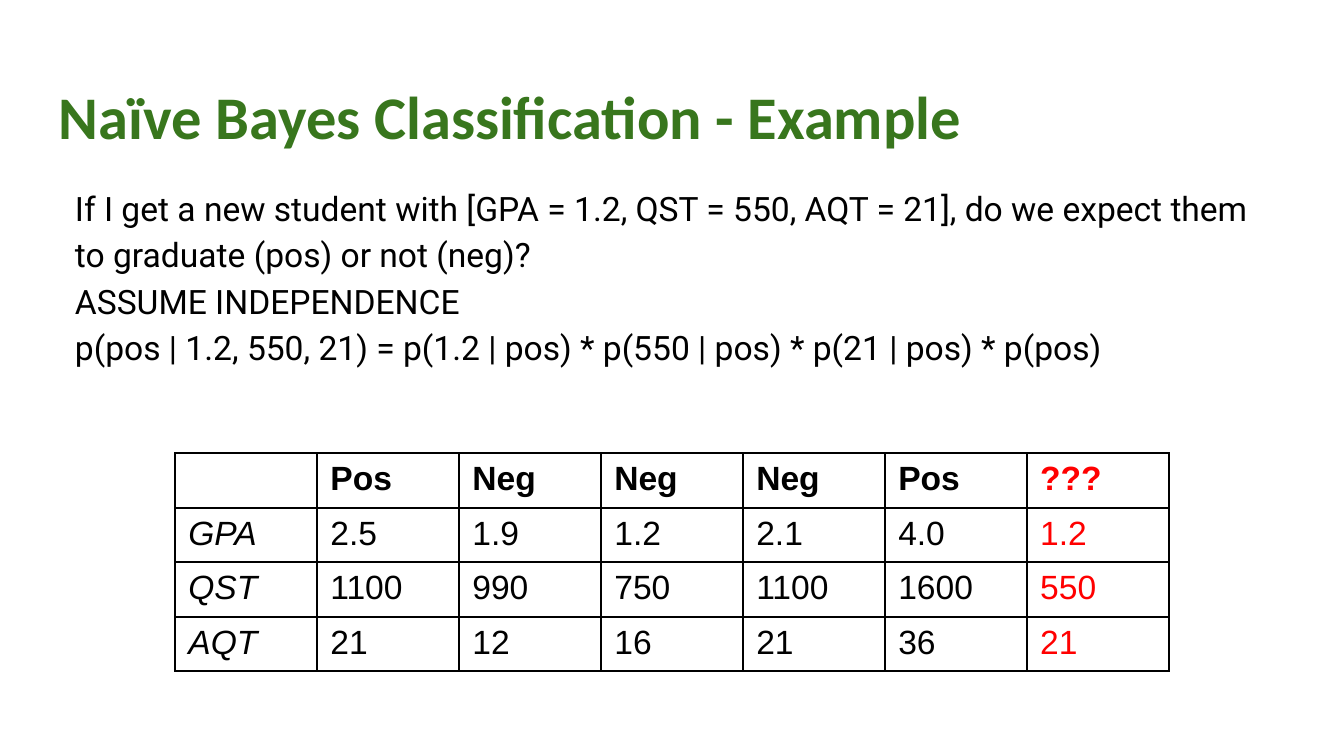
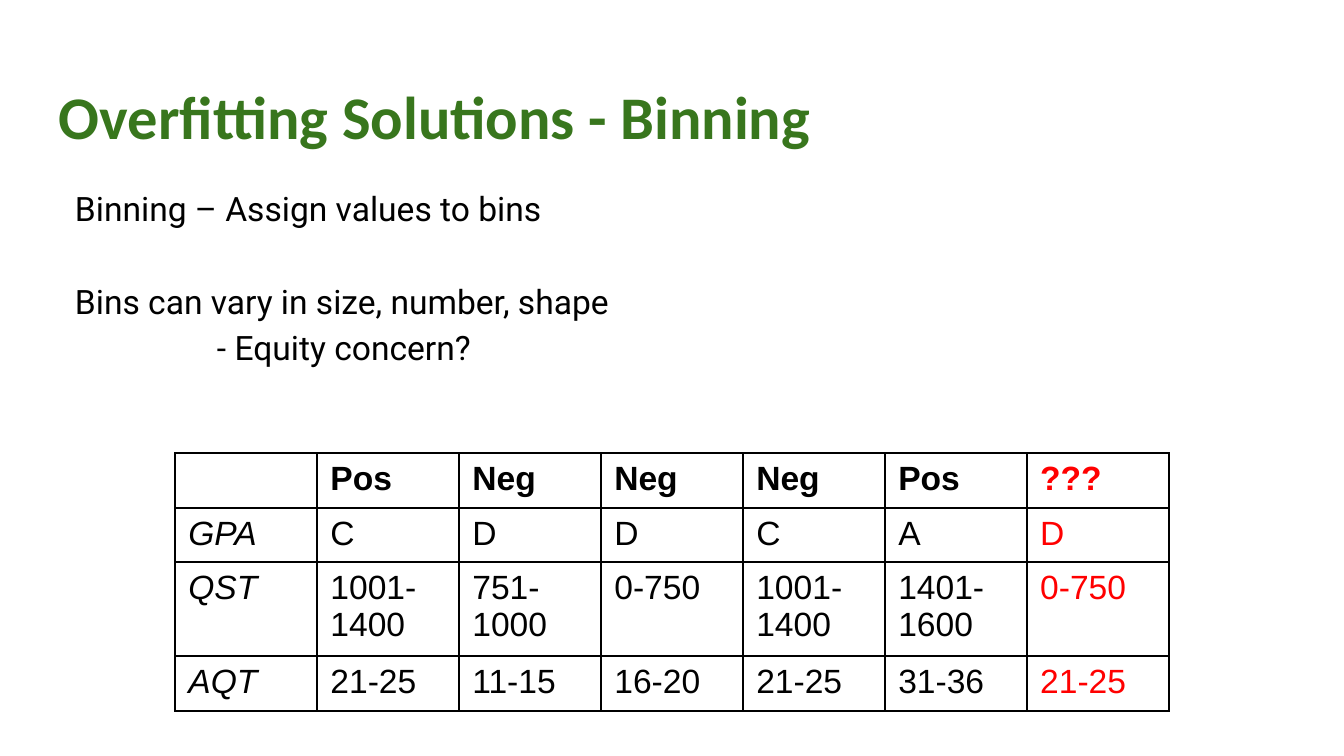
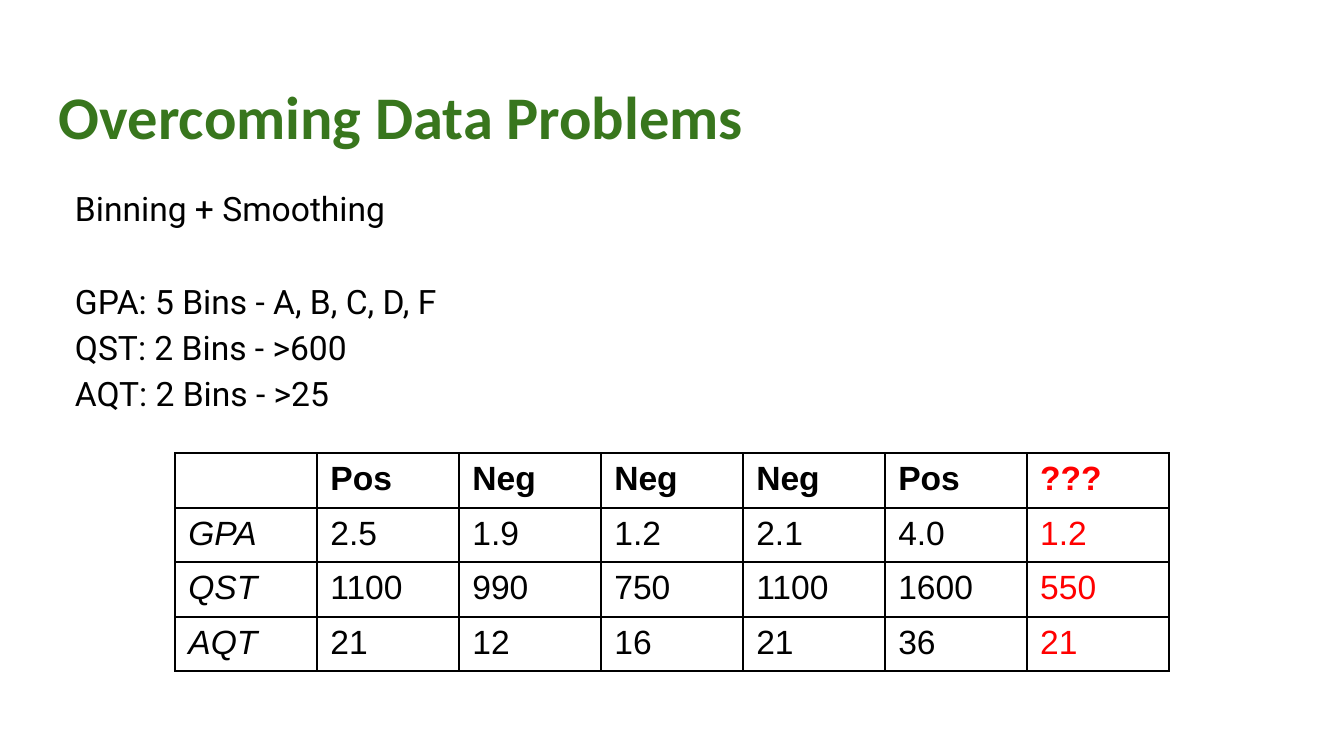
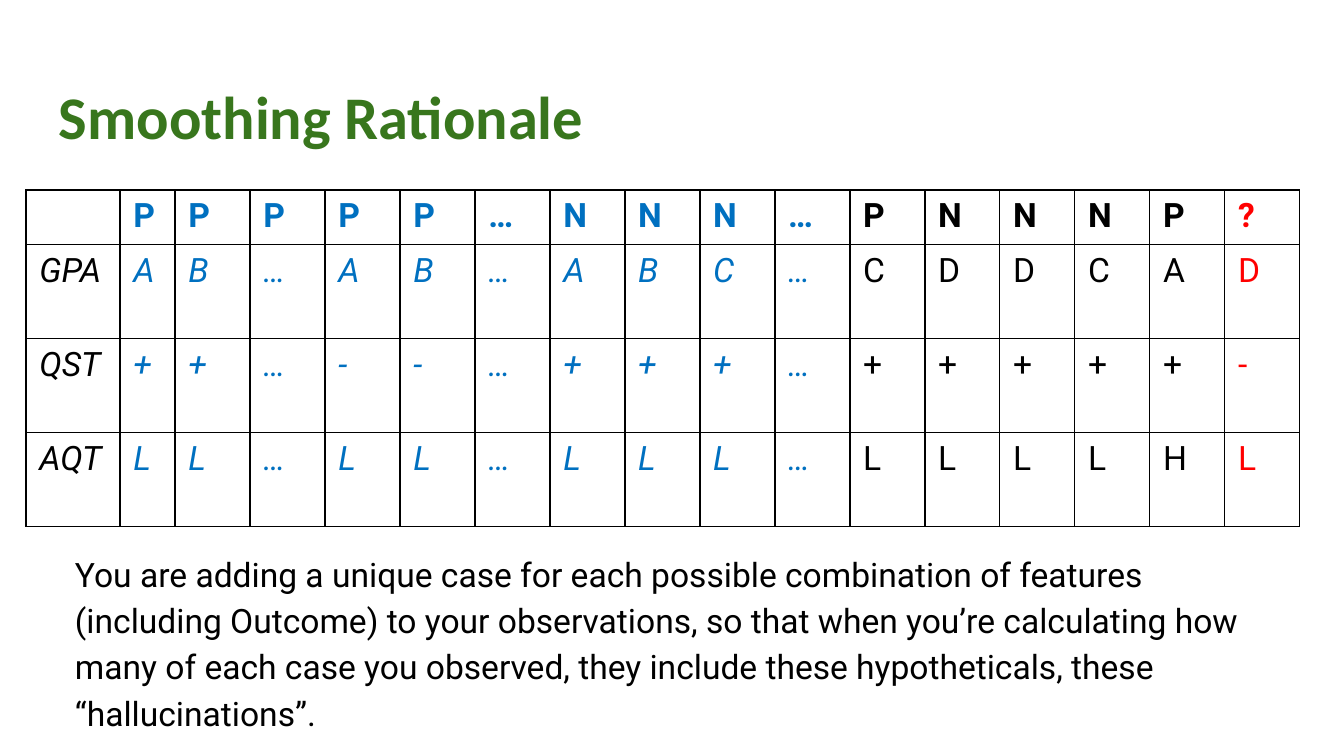
"""Build four slides on naïve Bayes classification, binning and smoothing."""
from dataclasses import dataclass

from lxml.etree import SubElement
from pptx import Presentation
from pptx.dml.color import RGBColor
from pptx.enum.text import MSO_AUTO_SIZE as AutoSize
from pptx.enum.text import MSO_VERTICAL_ANCHOR as Anchor
from pptx.enum.text import PP_PARAGRAPH_ALIGNMENT as Align
from pptx.oxml.ns import qn
from pptx.util import Emu, Pt

EMU_PER_PX = 914400 / 134.4
GREEN, BLACK, RED, BLUE, WHITE = "38761D", "000000", "FF0000", "0070C0", "FFFFFF"
INSET = 13
BODY_INDENT = 16
BODY_SIZE = 18
BLANK_LINE = 24.8


@dataclass(frozen=True)
class Box:
    left: int
    top: int
    width: int
    height: int


@dataclass(frozen=True)
class Line:
    text: str
    indent: int = BODY_INDENT
    gap: float = 0


@dataclass(frozen=True)
class Students:
    left: int
    top: int
    columns: tuple[int, ...]
    rows: tuple[int, ...]
    font: str
    outcomes: str
    gpa: str
    qst: str
    aqt: str
    hypothetical: int = 0


@dataclass(frozen=True)
class Lesson:
    title: str
    lines: tuple[Line, ...]
    students: Students
    body: Box
    anchor: Anchor = Anchor.TOP
    bottom_inset: int = INSET


def px(length: float) -> Emu:
    return Emu(round(length * EMU_PER_PX))


def color(code: str) -> RGBColor:
    return RGBColor.from_string(code)


def style(font, name: str, size: float, code: str, bold=False, italic=False) -> None:
    font.name, font.size = name, Pt(size)
    font.bold, font.italic = bold, italic
    font.color.rgb = color(code)


def place(holder, box: Box, anchor: Anchor, bottom_inset: int = INSET):
    holder.left, holder.top = px(box.left), px(box.top)
    holder.width, holder.height = px(box.width), px(box.height)
    frame = holder.text_frame
    frame.word_wrap, frame.auto_size = True, AutoSize.NONE
    frame.vertical_anchor = anchor
    frame.margin_left = frame.margin_right = frame.margin_top = px(INSET)
    frame.margin_bottom = px(bottom_inset)
    return frame


def draw_title(slide, title: str) -> None:
    frame = place(slide.shapes.title, TITLE_BOX, Anchor.TOP)
    frame.text = title
    heading = frame.paragraphs[0]
    heading.alignment = Align.LEFT
    style(heading.runs[0].font, "Calibri", 32.4, GREEN, bold=True)


def draw_body(slide, lesson: Lesson) -> None:
    frame = place(slide.placeholders[1], lesson.body, lesson.anchor, lesson.bottom_inset)
    frame.text = "\n".join(line.text for line in lesson.lines)
    for paragraph, line in zip(frame.paragraphs, lesson.lines):
        properties = paragraph._p.get_or_add_pPr()
        properties.set("marL", str(px(line.indent)))
        properties.set("indent", "0")
        SubElement(properties, qn("a:buNone"))
        paragraph.alignment = Align.LEFT
        paragraph.line_spacing = 1.15
        paragraph.space_before, paragraph.space_after = Pt(line.gap), Pt(0)
        style(paragraph.runs[0].font, "Roboto", BODY_SIZE, BLACK)


def draw_borders(cell) -> None:
    properties = cell._tc.get_or_add_tcPr()
    for side in ("a:lnL", "a:lnR", "a:lnT", "a:lnB"):
        border = SubElement(properties, qn(side), w=str(Pt(1)))
        fill = SubElement(border, qn("a:solidFill"))
        SubElement(fill, qn("a:srgbClr"), val=BLACK)


def student_color(column: int, students: Students) -> str:
    if column == len(students.columns) - 1:
        return RED
    return BLUE if 1 <= column <= students.hypothetical else BLACK


def draw_students(slide, students: Students) -> None:
    features = {"": students.outcomes, "GPA": students.gpa,
                "QST": students.qst, "AQT": students.aqt}
    table = slide.shapes.add_table(
        len(features), len(students.columns), px(students.left), px(students.top),
        px(sum(students.columns)), px(sum(students.rows))).table
    table.first_row = table.horz_banding = False
    for column, width in zip(table.columns, students.columns):
        column.width = px(width)
    for row, height in zip(table.rows, students.rows):
        row.height = px(height)
    for r, (feature, values) in enumerate(features.items()):
        for c, value in enumerate([feature, *values.split()]):
            cell = table.cell(r, c)
            draw_borders(cell)
            cell.fill.solid()
            cell.fill.fore_color.rgb = color(WHITE)
            cell.text = value
            for run in cell.text_frame.paragraphs[0].runs:
                style(run.font, students.font, BODY_SIZE, student_color(c, students),
                      bold=r == 0, italic=r > 0 and c <= students.hypothetical)


TITLE_BOX = Box(46, 66, 1253, 85)
BODY_BOX = Box(46, 169, 1253, 503)
TALL_BODY_BOX = Box(46, 169, 1253, 586)

SAMPLE_COLUMNS = (142,) * 7
SAMPLE_OUTCOMES = "Pos Neg Neg Neg Pos ???"
RAW_STUDENTS = Students(
    175, 453, SAMPLE_COLUMNS, (55, 54, 55, 54), "Arial", SAMPLE_OUTCOMES,
    gpa="2.5 1.9 1.2 2.1 4.0 1.2",
    qst="1100 990 750 1100 1600 550",
    aqt="21 12 16 21 36 21")
BINNED_STUDENTS = Students(
    175, 453, SAMPLE_COLUMNS, (55, 54, 94, 55), "Arial", SAMPLE_OUTCOMES,
    gpa="C D D C A D",
    qst="1001-1400 751-1000 0-750 1001-1400 1401-1600 0-750",
    aqt="21-25 11-15 16-20 21-25 31-36 21-25")
SMOOTHED_STUDENTS = Students(
    26, 190, (94, 55) + (75,) * 15, (54, 94, 94, 94), "Roboto",
    outcomes="P P P P P … N N N … P N N N P ?",
    gpa="A B … A B … A B C … C D D C A D",
    qst="+ + … - - … + + + … + + + + + -",
    aqt="L L … L L … L L L … L L L L H L",
    hypothetical=10)

LESSONS = (
    Lesson("Naïve Bayes Classification - Example", (
        Line("If I get a new student with [GPA = 1.2, QST = 550, AQT = 21], "
             "do we expect them to graduate (pos) or not (neg)?"),
        Line("ASSUME INDEPENDENCE"),
        Line("p(pos | 1.2, 550, 21) = p(1.2 | pos) * p(550 | pos) * p(21 | pos) * p(pos)"),
    ), RAW_STUDENTS, BODY_BOX),
    Lesson("Overfitting Solutions - Binning", (
        Line("Binning – Assign values to bins"),
        Line("Bins can vary in size, number, shape", gap=BLANK_LINE),
        Line("- Equity concern?", indent=158),
    ), BINNED_STUDENTS, BODY_BOX),
    Lesson("Overcoming Data Problems", (
        Line("Binning + Smoothing"),
        Line("GPA: 5 Bins - A, B, C, D, F", gap=BLANK_LINE),
        Line("QST: 2 Bins - >600"),
        Line("AQT: 2 Bins - >25"),
    ), RAW_STUDENTS, BODY_BOX),
    Lesson("Smoothing Rationale", (
        Line("You are adding a unique case for each possible combination of features "
             "(including Outcome) to your observations, so that when you’re calculating "
             "how many of each case you observed, they include these hypotheticals, "
             "these “hallucinations”."),
    ), SMOOTHED_STUDENTS, TALL_BODY_BOX, Anchor.BOTTOM, bottom_inset=22),
)


def main() -> None:
    deck = Presentation()
    deck.slide_width, deck.slide_height = px(1344), px(756)
    for lesson in LESSONS:
        slide = deck.slides.add_slide(deck.slide_layouts[1])
        draw_title(slide, lesson.title)
        draw_body(slide, lesson)
        draw_students(slide, lesson.students)
    deck.save("out.pptx")


if __name__ == "__main__":
    main()
